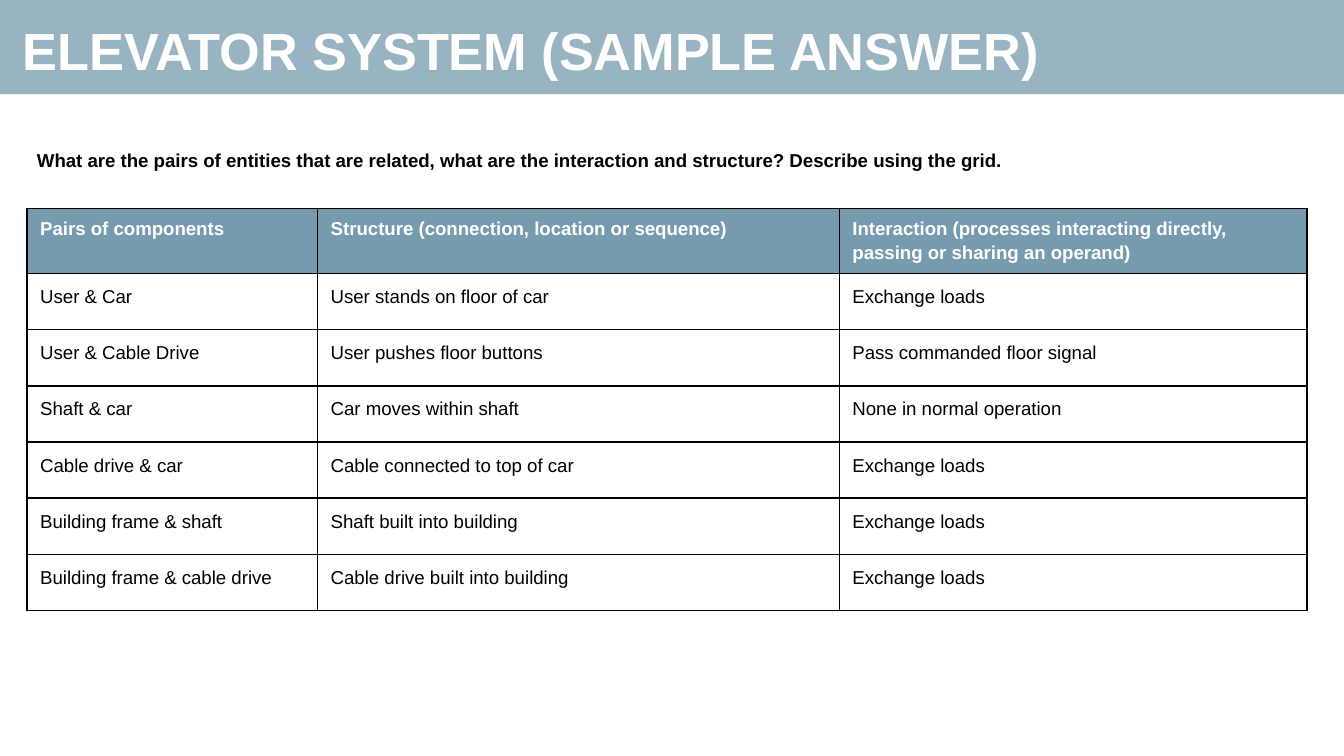
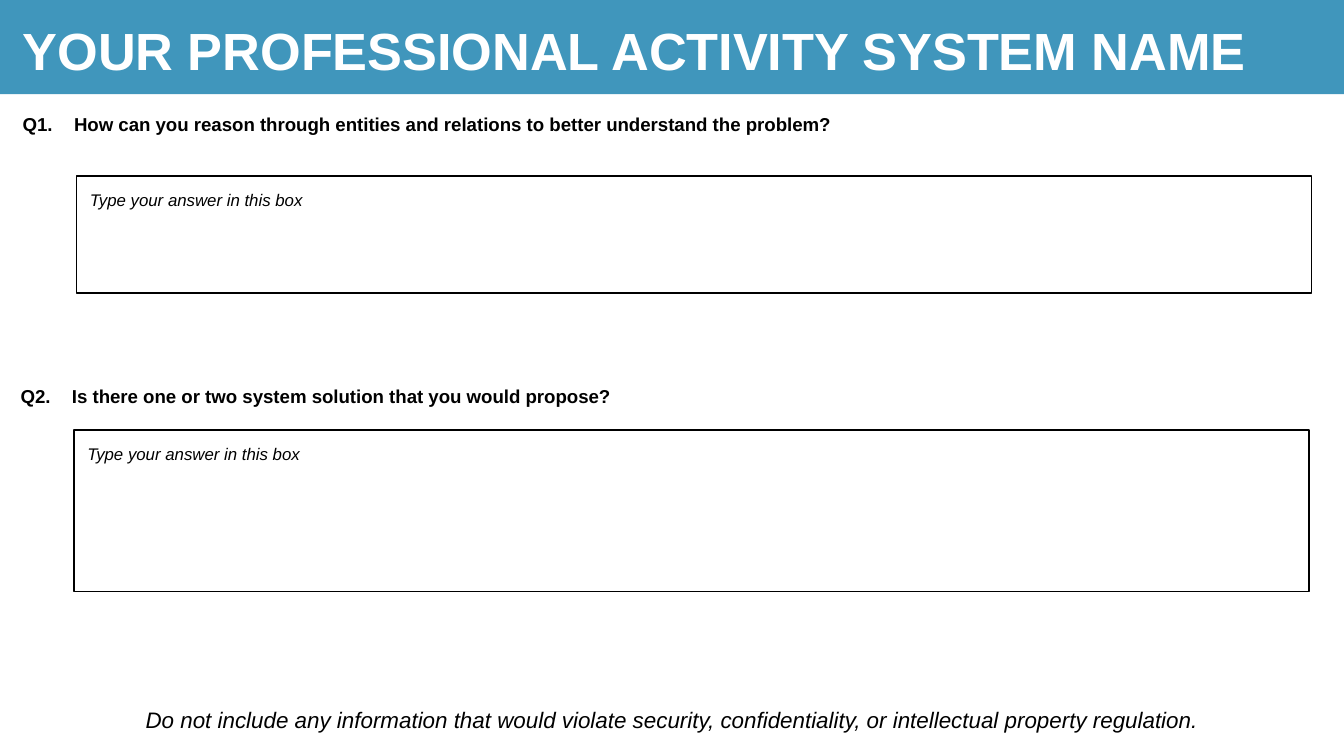
from dataclasses import dataclass

from lxml.etree import SubElement
from pptx import Presentation
from pptx.dml.color import RGBColor as RGB
from pptx.enum.shapes import MSO_SHAPE as SHAPE
from pptx.enum.text import MSO_ANCHOR as ANCHOR, PP_ALIGN as ALIGN
from pptx.oxml.ns import qn
from pptx.util import Cm, Pt


@dataclass(frozen=True)
class Theme:
    font: str = "Arial"
    ink: RGB = RGB(0, 0, 0)
    paper: RGB = RGB(255, 255, 255)
    slate: RGB = RGB(0x76, 0x9B, 0xAE)
    blue: RGB = RGB(0x01, 0x74, 0xA6)
    title: int = 28
    note: int = 12
    body: int = 10
    answer: int = 9
    rule: float = 0.75
    inset: float = 0.25


theme = Theme()


def write(frame, text, size=theme.body, color=theme.ink, bold=False, italic=False,
          align=ALIGN.LEFT, spacing=None, hanging=0, inset=theme.inset):
    frame.word_wrap = True
    frame.vertical_anchor = ANCHOR.TOP
    frame.margin_left = frame.margin_right = Cm(theme.inset)
    frame.margin_top = frame.margin_bottom = Cm(inset)
    paragraph = frame.paragraphs[0]
    paragraph.text = text
    paragraph.alignment = align
    if spacing:
        paragraph.line_spacing = spacing
    if hanging:
        properties = paragraph._p.get_or_add_pPr()
        properties.set("marL", str(Cm(hanging)))
        properties.set("indent", str(-Cm(hanging)))
    font = paragraph.runs[0].font
    font.name, font.size, font.color.rgb = theme.font, Pt(size), color
    font.bold, font.italic = bold, italic


def add_rectangle(slide, left, top, width, height, fill):
    rectangle = slide.shapes.add_shape(SHAPE.RECTANGLE, Cm(left), Cm(top), Cm(width), Cm(height))
    rectangle.shadow.inherit = False
    rectangle.fill.solid()
    rectangle.fill.fore_color.rgb = fill
    rectangle.line.fill.background()
    return rectangle


deck = Presentation()
deck.slide_width, deck.slide_height = Cm(25.4), Cm(14.29)
blank = deck.slide_layouts[6]

headers = [
    ("ELEVATOR SYSTEM (SAMPLE ANSWER)", theme.slate),
    ("YOUR PROFESSIONAL ACTIVITY SYSTEM NAME", theme.blue),
]
for title, color in headers:
    slide = deck.slides.add_slide(blank)
    band = add_rectangle(slide, 0, 0, 25.4, 1.78, color)
    band_color = band.fill._xPr.find(qn("a:solidFill"))[0]
    SubElement(band_color, qn("a:alpha")).set("val", "75000")
    heading = slide.shapes.add_textbox(Cm(0.18), Cm(0.1), Cm(24.7), Cm(1.6))
    write(heading.text_frame, title, size=theme.title, color=theme.paper, bold=True)

sample, activity = deck.slides

prompt = sample.shapes.add_textbox(Cm(0.45), Cm(2.6), Cm(24.5), Cm(1.06))
write(prompt.text_frame,
      "What are the pairs of entities that are related, what are the interaction and structure? "
      "Describe using the grid.",
      bold=True, hanging=0.97)

relations = [
    ("Pairs of components", "Structure (connection, location or sequence)",
     "Interaction (processes interacting directly, passing or sharing an operand)"),
    ("User & Car", "User stands on floor of car", "Exchange loads"),
    ("User & Cable Drive", "User pushes floor buttons", "Pass commanded floor signal"),
    ("Shaft & car", "Car moves within shaft", "None in normal operation"),
    ("Cable drive & car", "Cable connected to top of car", "Exchange loads"),
    ("Building frame & shaft", "Shaft built into building", "Exchange loads"),
    ("Building frame & cable drive", "Cable drive built into building", "Exchange loads"),
]
column_widths = [5.49, 9.86, 8.84]
row_height = 1.06
grid = sample.shapes.add_table(
    len(relations), len(column_widths), Cm(0.51), Cm(3.94),
    Cm(sum(column_widths)), Cm(row_height * len(relations))).table
grid.first_row = grid.horz_banding = False
for column, width in zip(grid.columns, column_widths):
    column.width = Cm(width)
for row_number, relation in enumerate(relations):
    grid.rows[row_number].height = Cm(row_height)
    for column_number, text in enumerate(relation):
        cell = grid.cell(row_number, column_number)
        for side in ("lnL", "lnR", "lnT", "lnB"):
            border = SubElement(cell._tc.get_or_add_tcPr(), qn(f"a:{side}"), w=str(Pt(theme.rule)))
            border_fill = SubElement(border, qn("a:solidFill"))
            SubElement(border_fill, qn("a:srgbClr"), val=str(theme.ink))
        if row_number == 0:
            cell.fill.solid()
            cell.fill.fore_color.rgb = theme.slate
            write(cell.text_frame, text, color=theme.paper, bold=True, spacing=1.15)
            cell.margin_top = cell.margin_bottom = Cm(0.13)
        else:
            cell.fill.background()
            write(cell.text_frame, text)
            cell.margin_top = cell.margin_bottom = Cm(theme.inset)
        cell.margin_left = cell.margin_right = Cm(theme.inset)
        cell.vertical_anchor = ANCHOR.TOP

questions = [
    ("Q1.\tHow can you reason through entities and relations to better understand the problem?",
     0.18, 1.93, 1.45, 3.33, 2.21),
    ("Q2.\tIs there one or two system solution that you would propose?",
     0.14, 7.06, 1.4, 8.13, 3.05),
]
for question, left, top, answer_left, answer_top, answer_height in questions:
    question_box = activity.shapes.add_textbox(Cm(left), Cm(top), Cm(24.5), Cm(1.06))
    write(question_box.text_frame, question, bold=True, hanging=0.97)
    answer = add_rectangle(activity, answer_left, answer_top, 23.34, answer_height, theme.paper)
    answer.line.color.rgb = theme.ink
    answer.line.width = Pt(theme.rule)
    write(answer.text_frame, "Type your answer in this box", size=theme.answer, italic=True)

notice = activity.shapes.add_textbox(Cm(1.14), Cm(13.21), Cm(23.14), Cm(0.76))
write(notice.text_frame,
      "Do not include any information that would violate security, confidentiality, "
      "or intellectual property regulation.",
      size=theme.note, italic=True, align=ALIGN.CENTER, inset=0.13)

deck.save("out.pptx")
